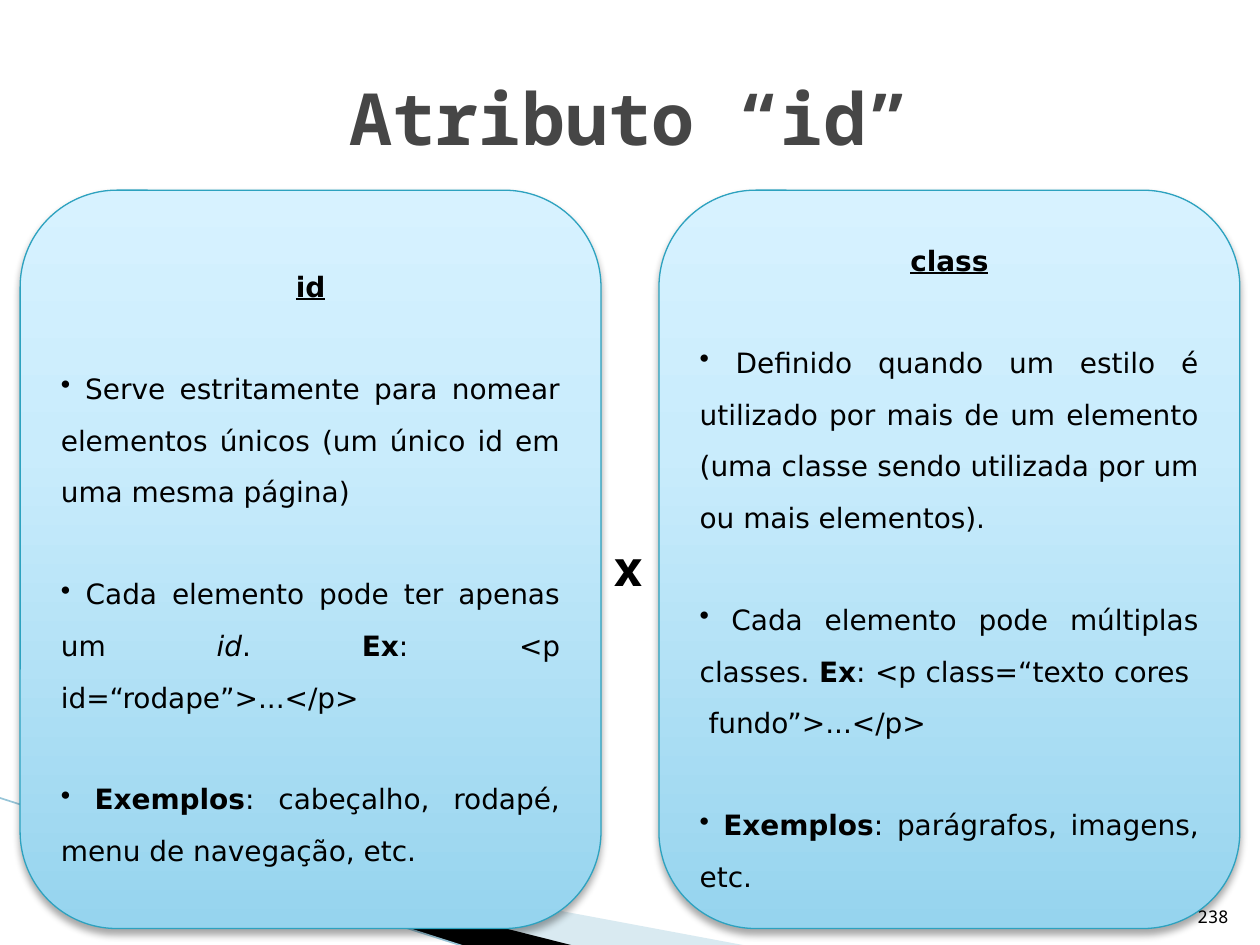
from lxml import etree
from pptx import Presentation
from pptx.dml.color import RGBColor
from pptx.enum.shapes import MSO_CONNECTOR, MSO_SHAPE
from pptx.enum.text import MSO_ANCHOR, PP_ALIGN
from pptx.oxml import parse_xml
from pptx.oxml.ns import nsdecls, qn
from pptx.util import Inches, Pt

BLACK = RGBColor(0x00, 0x00, 0x00)
TITLE_GRAY = RGBColor(0x46, 0x46, 0x46)
TEAL = RGBColor(0x2D, 0xA2, 0xBF)
PALE_BLUE = RGBColor(0xA0, 0xCB, 0xDC)
LINE_BLUE = RGBColor(0x97, 0xC5, 0xD8)
CARD_STOPS = [
    (0, RGBColor(0x96, 0xD4, 0xEE)),
    (65, RGBColor(0xC9, 0xEC, 0xFC)),
    (100, RGBColor(0xD7, 0xF2, 0xFF)),
]
LEFT, CENTER, RIGHT = PP_ALIGN.LEFT, PP_ALIGN.CENTER, PP_ALIGN.RIGHT
JUSTIFY = PP_ALIGN.JUSTIFY
TOP, MIDDLE, BOTTOM = MSO_ANCHOR.TOP, MSO_ANCHOR.MIDDLE, MSO_ANCHOR.BOTTOM
BODY_FONT, MONO_FONT = "DejaVu Sans", "Noto Sans Mono"
BOLD, ITALIC = {"bold": True}, {"italic": True}
HEADING = {"bold": True, "underline": True}


def add_run(paragraph, text, name, size, color, formats):
    run = paragraph.add_run()
    run.text = text
    run.font.name = name
    run.font.size = Pt(size)
    run.font.color.rgb = color
    for attribute, value in formats.items():
        setattr(run.font, attribute, value)


presentation = Presentation()
presentation.slide_width = Inches(10)
presentation.slide_height = Inches(7.5)
slide = presentation.slides.add_slide(presentation.slide_layouts[6])
shapes = slide.shapes

# Corner wedges and the line along them
wedges = [
    ([(0.55, 6.5), (5.95, 7.51), (4.56, 7.51)], PALE_BLUE, 40),
    ([(0.53, 6.49), (4.57, 7.51), (3.72, 7.52)], BLACK, 100),
]
for points, color, opacity in wedges:
    corners = [(Inches(x), Inches(y)) for x, y in points]
    builder = shapes.build_freeform(*corners[0])
    builder.add_line_segments(corners[1:], close=True)
    wedge = builder.convert_to_shape()
    wedge.shadow.inherit = False
    wedge.fill.solid()
    wedge.fill.fore_color.rgb = color
    wedge.line.fill.background()
    if opacity < 100:
        color_element = wedge.fill._xPr.find(".//" + qn("a:srgbClr"))
        etree.SubElement(color_element, qn("a:alpha"), val=str(opacity * 1000))

edge = shapes.add_connector(
    MSO_CONNECTOR.STRAIGHT, Inches(-0.01), Inches(6.33), Inches(3.71), Inches(7.52)
)
edge.line.color.rgb = LINE_BLUE
edge.line.width = Pt(0.95)
etree.SubElement(edge._element.spPr, qn("a:effectLst"))

# Comparison cards: left edge, heading, bullets made of (text, format) runs
cards = [
    (5.23, "class", [
        [(" Definido quando um estilo é utilizado por mais de um elemento "
          "(uma classe sendo utilizada por um ou mais elementos).", {})],
        [(" Cada elemento pode múltiplas classes. ", {}), ("Ex", BOLD),
         (": <p class=“texto cores   fundo”>...</p>", {})],
        [(" ", {}), ("Exemplos", BOLD), (": parágrafos, imagens, etc.", {})],
    ]),
    (0.16, "id", [
        [(" Serve estritamente para nomear elementos únicos "
          "(um único id em uma mesma página)", {})],
        [(" Cada elemento pode ter apenas um ", {}), ("id", ITALIC), (". ", {}),
         ("Ex", BOLD), (": <p id=“rodape”>...</p>", {})],
        [(" ", {}), ("Exemplos", BOLD),
         (": cabeçalho, rodapé, menu de navegação, etc.", {})],
    ]),
]
stops = "".join(
    f'<a:gs pos="{position * 1000}"><a:srgbClr val="{color}"/></a:gs>'
    for position, color in CARD_STOPS
)
for left, heading, bullets in cards:
    card = shapes.add_shape(
        MSO_SHAPE.ROUNDED_RECTANGLE,
        Inches(left), Inches(1.51), Inches(4.61), Inches(5.86),
    )
    card.line.color.rgb = TEAL
    card.line.width = Pt(0.75)

    # Gradient from the bottom up, and a soft shadow below
    properties = card._element.spPr
    properties.find(qn("a:prstGeom")).addnext(parse_xml(
        f'<a:gradFill {nsdecls("a")} rotWithShape="1"><a:gsLst>{stops}</a:gsLst>'
        '<a:lin ang="16200000" scaled="0"/></a:gradFill>'
    ))
    properties.append(parse_xml(
        f'<a:effectLst {nsdecls("a")}><a:outerShdw blurRad="{Pt(4)}" '
        f'dist="{Pt(3)}" dir="5400000" rotWithShape="0"><a:srgbClr val="000000">'
        '<a:alpha val="35000"/></a:srgbClr></a:outerShdw></a:effectLst>'
    ))

    frame = card.text_frame
    frame.word_wrap = True
    frame.vertical_anchor = MIDDLE
    paragraph = frame.paragraphs[0]
    paragraph.alignment = CENTER
    paragraph.line_spacing = 1.54
    add_run(paragraph, heading, BODY_FONT, 16, BLACK, HEADING)
    for runs in bullets:
        paragraph = frame.add_paragraph()
        paragraph.alignment = JUSTIFY
        paragraph.line_spacing = 1.54
        paragraph.space_before = Pt(28.7)
        etree.SubElement(paragraph._p.get_or_add_pPr(), qn("a:buChar"), char="•")
        for text, formats in runs:
            add_run(paragraph, text, BODY_FONT, 16, BLACK, formats)

# Title, the "x" between the cards, and the page number
labels = [
    ("Atributo “id”", (0.5, 0.3, 9, 1.25), 41, TITLE_GRAY, BOLD, CENTER, MIDDLE, True),
    ("x", (4.77, 4.22, 0.44, 0.57), 28, BLACK, BOLD, LEFT, TOP, False),
    ("238", (9.25, 7.01, 0.6, 0.4), 10, BLACK, {}, RIGHT, BOTTOM, True),
]
for text, box, size, color, formats, alignment, anchor, wrap in labels:
    label = shapes.add_textbox(*[Inches(length) for length in box])
    label.text_frame.word_wrap = wrap
    label.text_frame.vertical_anchor = anchor
    paragraph = label.text_frame.paragraphs[0]
    paragraph.alignment = alignment
    add_run(paragraph, text, MONO_FONT, size, color, formats)

presentation.save("out.pptx")
